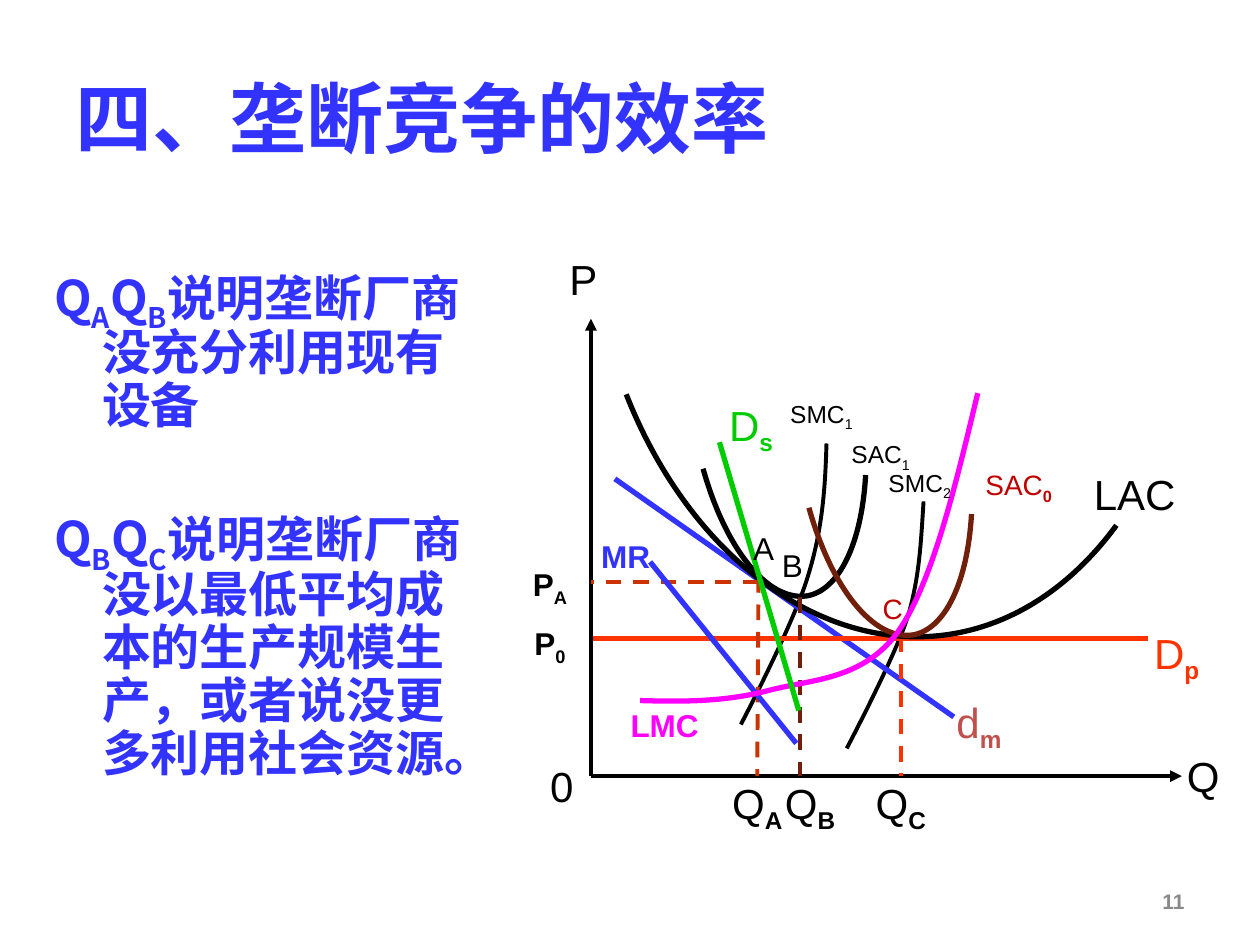
from lxml import etree
from pptx import Presentation
from pptx.dml.color import RGBColor
from pptx.enum.dml import MSO_LINE
from pptx.enum.shapes import MSO_CONNECTOR
from pptx.enum.text import MSO_ANCHOR, MSO_AUTO_SIZE, PP_ALIGN
from pptx.oxml.ns import qn
from pptx.util import Inches, Pt

STRAIGHT = MSO_CONNECTOR.STRAIGHT
DASH = MSO_LINE.DASH
MIDDLE, TOP = MSO_ANCHOR.MIDDLE, MSO_ANCHOR.TOP
LEFT, CENTER, RIGHT = PP_ALIGN.LEFT, PP_ALIGN.CENTER, PP_ALIGN.RIGHT
NO_FIT = MSO_AUTO_SIZE.NONE

THEME = {
    "latin": "Arial", "han": "Noto Sans CJK SC",
    "title": 44, "body": 28, "big": 24, "medium": 18, "small": 16, "tiny": 14, "number": 12,
    "blue": "3333FF", "black": "000000", "orange": "FF3300", "rust": "CC3300",
    "brown": "70200A", "red": "C00000", "brick": "C0504D", "magenta": "FF00FF",
    "green": "00CC00", "grey": "898989",
    "thin": 2.25, "thick": 3,
}

TITLE = "四、垄断竞争的效率"
POINTS = [
    [("Q", False), ("A", True), ("Q", False), ("B", True),
     ("说明垄断厂商没充分利用现有设备", False)],
    [("Q", False), ("B", True), ("Q", False), ("C", True),
     ("说明垄断厂商没以最低平均成本的生产规模生产，或者说没更多利用社会资源。", False)],
]

ORIGIN = (4.69, 6.16)
BASE = ORIGIN[1]
SAC1 = [(6.87, 3.77), (6.84, 4.31), (6.66, 4.69), (6.4, 4.73),
        (6.09, 4.77), (5.76, 4.36), (5.58, 3.72)]
SAC0 = [(x + 0.84, y + 0.31) for x, y in SAC1]
SMC2 = [(7.33, 3.98), (7.31, 4.28), (7.3, 4.59), (7.2, 4.91),
        (7.09, 5.24), (6.72, 5.94), (6.72, 5.94)]
SMC1 = [(6.56, 3.52), (6.55, 3.86), (6.53, 4.2), (6.41, 4.58),
        (6.3, 4.95), (5.88, 5.75), (5.88, 5.75)]
LAC = [(8.86, 4.17), (8.5, 4.66), (8.03, 4.97), (7.5, 5.04),
       (6.49, 5.17), (5.47, 4.4), (4.97, 3.13)]
LMC = [(5.08, 5.56), (5.42, 5.57), (5.76, 5.57), (6.1, 5.48), (6.44, 5.39),
       (6.85, 5.4), (7.13, 5.01), (7.4, 4.62), (7.58, 3.87), (7.76, 3.12)]

STROKES = [
    (SMC2, "black", "thin", None),
    (SMC1, "black", "thin", None),
    ([ORIGIN, (9.38, BASE)], "black", "thin", "arrow"),
    ([ORIGIN, (4.69, 2.53)], "black", "thin", "arrow"),
    ([(4.88, 3.8), (7.57, 5.69)], "blue", "thick", None),
    ([(4.71, 5.07), (9.11, 5.07)], "orange", "thick", None),
    ([(6.02, 4.58), (6.01, BASE)], "rust", "thin", "dash"),
    ([(7.15, 5.05), (7.15, BASE)], "orange", "thin", "dash"),
    (LAC, "black", "thick", None),
    (SAC1, "black", "thick", None),
    (SAC0, "brown", "thick", None),
    ([(6.35, 4.74), (6.35, BASE)], "brown", "thin", "dash"),
    ([(6.02, 4.62), (4.69, 4.62)], "rust", "thin", "dash"),
    ([(5.16, 4.46), (6.32, 5.9)], "blue", "thick", None),
    (LMC, "magenta", "thick", None),
    ([(5.71, 3.51), (6.34, 5.64)], "green", "thick", None),
]

LABELS = [
    ("LAC", "", (8.52, 3.56, 0.97, 0.71), "big", "black", False, False),
    ("SAC", "0", (7.6, 3.51, 0.97, 0.71), "small", "red", False, True),
    ("SAC", "1", (6.64, 3.44, 0.7, 0.36), "tiny", "black", False, False),
    ("SMC", "1", (6.17, 3.12, 0.7, 0.36), "tiny", "black", False, False),
    ("SMC", "2", (6.95, 3.67, 0.7, 0.36), "tiny", "black", False, False),
    ("A", "", (5.89, 4.11, 0.34, 0.47), "medium", "black", False, False),
    ("B", "", (6.18, 4.27, 0.22, 0.42), "medium", "black", False, False),
    ("C", "", (6.98, 4.58, 0.21, 0.5), "small", "red", False, False),
    ("Q", "A", (5.84, 6.16, 0.34, 0.47), "big", "black", False, True),
    ("Q", "B", (6.26, 6.16, 0.34, 0.47), "big", "black", False, True),
    ("Q", "C", (6.98, 6.16, 0.34, 0.47), "big", "black", False, True),
    ("P", "", (4.46, 1.98, 0.34, 0.47), "big", "black", False, False),
    ("Q", "", (9.38, 5.92, 0.34, 0.47), "big", "black", False, False),
    ("0", "", (4.29, 6, 0.34, 0.47), "big", "black", False, False),
    ("d", "m", (7.6, 5.56, 0.34, 0.39), "big", "brick", False, True),
    ("D", "p", (9.17, 4.93, 0.34, 0.55), "big", "orange", False, True),
    ("D", "s", (5.79, 3.12, 0.34, 0.55), "big", "green", False, True),
    ("P", "0", (4.21, 4.93, 0.31, 0.39), "medium", "black", True, True),
    ("P", "A", (4.21, 4.46, 0.31, 0.39), "medium", "black", True, True),
    ("LMC", "", (5, 5.56, 0.55, 0.39), "medium", "magenta", True, False),
    ("MR", "", (4.69, 4.22, 0.55, 0.39), "medium", "blue", True, False),
]
PAGE_NUMBER = ("11", "", (7.17, 6.95, 2.33, 0.4), "number", "grey", True, False)


def add_span(para, text, size, color, bold, font="latin", subscript=False):
    span = para.add_run()
    span.text = text
    span.font.size = Pt(THEME[size])
    span.font.bold = bold
    span.font.name = THEME[font]
    span.font.color.rgb = RGBColor.from_string(THEME[color])
    properties = span.font._element
    if font == "han":
        etree.SubElement(properties, qn("a:ea"), typeface=THEME[font])
    if subscript:
        properties.set("baseline", "-25000")


def place(box, area, anchor, wrap):
    box.left, box.top, box.width, box.height = map(Inches, area)
    box.text_frame.word_wrap = wrap
    box.text_frame.auto_size = NO_FIT
    box.text_frame.vertical_anchor = anchor


def add_label(page, label, align=CENTER, wrap=False):
    text, subscript, area, size, color, bold, subscript_bold = label
    box = page.shapes.add_textbox(*map(Inches, area))
    place(box, area, MIDDLE, wrap)
    para = box.text_frame.paragraphs[0]
    para.alignment = align
    add_span(para, text, size, color, bold)
    if subscript:
        add_span(para, subscript, size, color, subscript_bold, subscript=True)


def add_curve(page, controls):
    start, *rest = [tuple(map(Inches, point)) for point in controls]
    builder = page.shapes.build_freeform(*start)
    builder.add_line_segments(rest, close=False)
    curve = builder.convert_to_shape()
    segments = list(curve._element.iter(qn("a:lnTo")))
    outline = segments[0].getparent()
    for index, segment in enumerate(segments):
        if index % 3 == 0:
            bezier = etree.SubElement(outline, qn("a:cubicBezTo"))
        bezier.append(segment[0])
        outline.remove(segment)
    curve.fill.background()
    curve.shadow.inherit = False
    return curve


def add_stroke(page, points, color, width, style):
    if len(points) == 2:
        stroke = page.shapes.add_connector(STRAIGHT, *map(Inches, points[0] + points[1]))
        etree.SubElement(stroke._element.spPr, qn("a:effectLst"))
    else:
        stroke = add_curve(page, points)
    stroke.line.color.rgb = RGBColor.from_string(THEME[color])
    stroke.line.width = Pt(THEME[width])
    if style == "dash":
        stroke.line.dash_style = DASH
    if style == "arrow":
        etree.SubElement(stroke.line._get_or_add_ln(), qn("a:tailEnd"), type="triangle")


def add_points(body):
    frame = body.text_frame
    for index, spans in enumerate(POINTS):
        para = frame.paragraphs[0] if index == 0 else frame.add_paragraph()
        properties = para._p.get_or_add_pPr()
        properties.set("marL", str(Inches(0.38)))
        properties.set("indent", str(-Inches(0.38)))
        etree.SubElement(properties, qn("a:buNone"))
        para.alignment = LEFT
        para.line_spacing = 0.9
        para.space_before = Pt(43 if index else 0)
        for text, subscript in spans:
            add_span(para, text, "body", "blue", True, "han", subscript)


def main():
    deck = Presentation()
    deck.slide_width, deck.slide_height = Inches(10), Inches(7.5)
    page = deck.slides.add_slide(deck.slide_layouts[1])
    title, body = page.placeholders
    place(title, (0.5, 0.3, 9, 1.25), MIDDLE, True)
    heading = title.text_frame.paragraphs[0]
    heading.alignment = LEFT
    add_span(heading, TITLE, "title", "blue", True, "han")
    place(body, (0.33, 2.08, 3.61, 4.59), TOP, True)
    add_points(body)
    for stroke in STROKES:
        add_stroke(page, *stroke)
    for label in LABELS:
        add_label(page, label)
    add_label(page, PAGE_NUMBER, RIGHT, True)
    deck.save("out.pptx")


if __name__ == "__main__":
    main()
